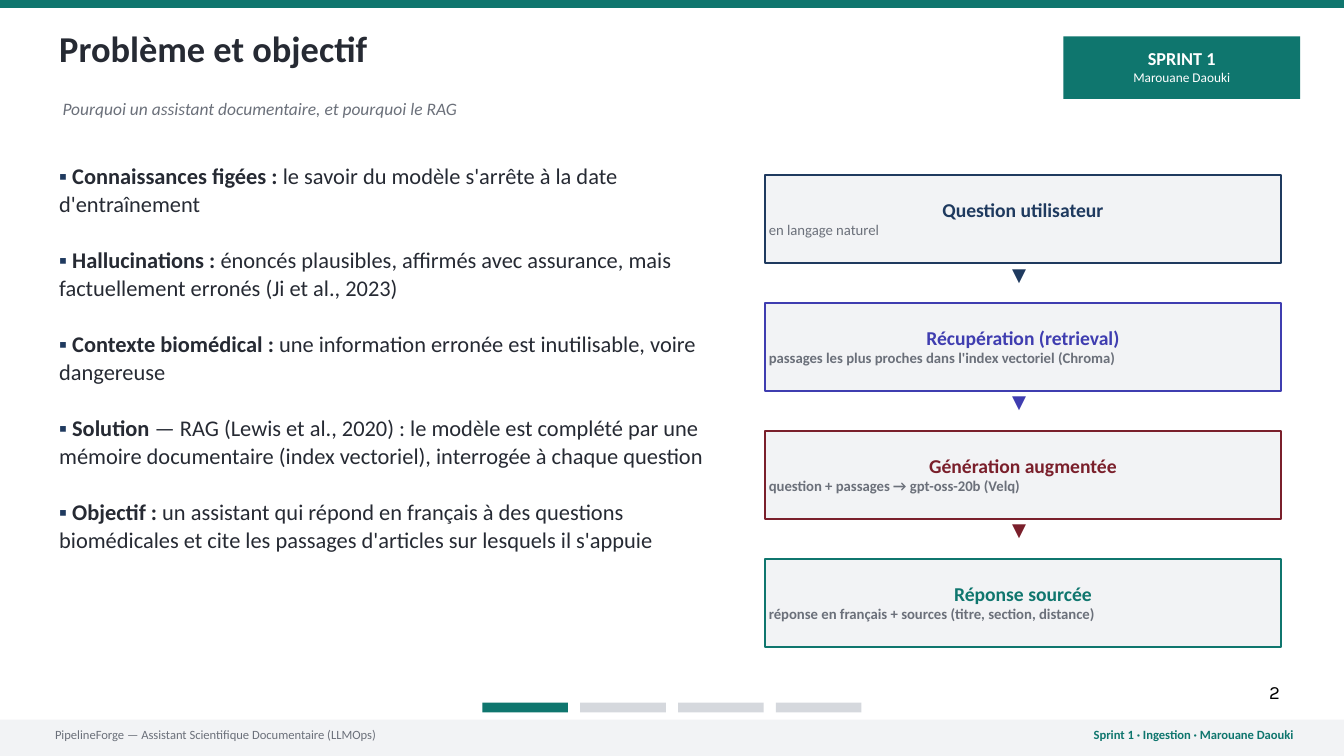
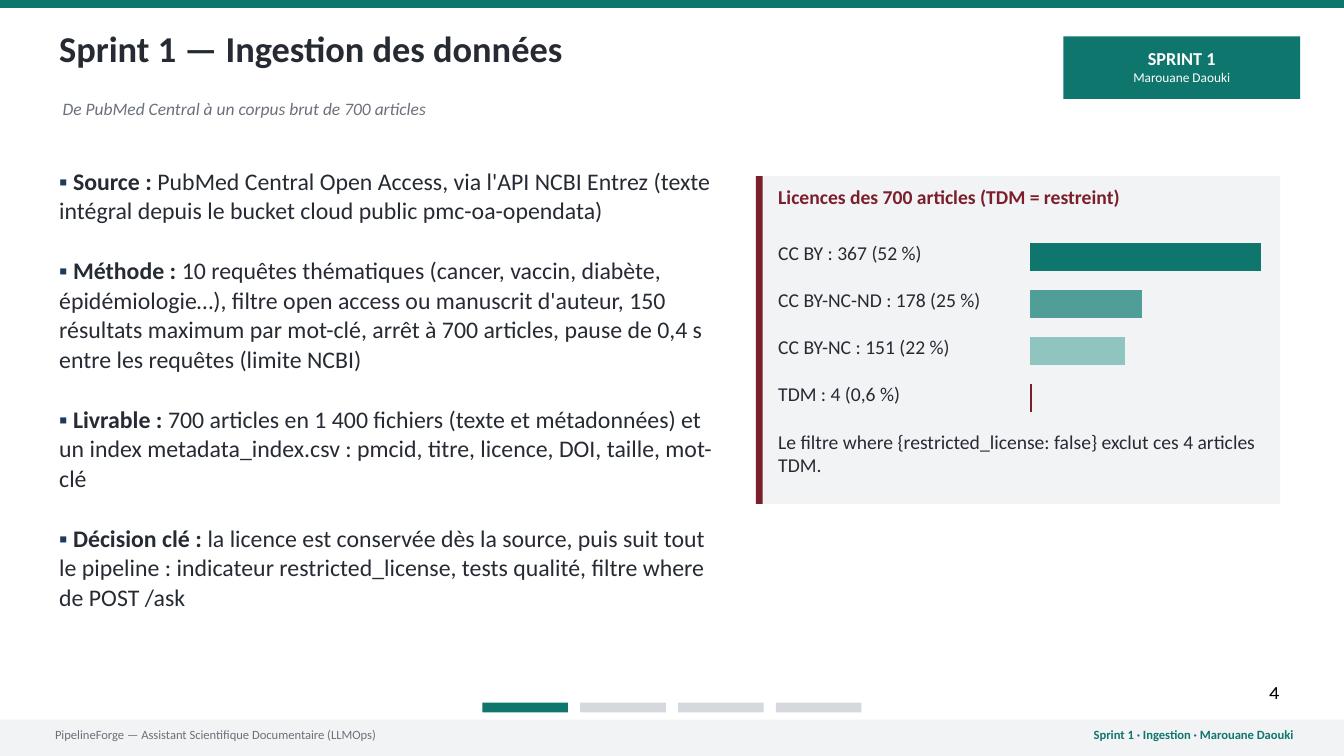
"""Build two slides on a documentary assistant: its purpose, and the ingestion of its data."""
from typing import NamedTuple

from pptx import Presentation
from pptx.chart.data import CategoryChartData
from pptx.dml.color import RGBColor
from pptx.enum.chart import XL_CHART_TYPE
from pptx.enum.shapes import MSO_SHAPE
from pptx.enum.text import MSO_ANCHOR, PP_ALIGN
from pptx.oxml import parse_xml
from pptx.oxml.ns import nsdecls, qn
from pptx.util import Pt

COLORS = {
    "teal": "0F766E", "teal_mid": "4F9F98", "teal_light": "8FC4BF",
    "navy": "1F3A5F", "indigo": "3F3DB0", "maroon": "7A1F2B",
    "ink": "262A33", "gray": "6B707A", "silver": "D5D8DD",
    "mist": "F2F3F5", "white": "FFFFFF", "black": "000000",
}
FONT = "Calibri"
LEFT, CENTER, RIGHT = PP_ALIGN.LEFT, PP_ALIGN.CENTER, PP_ALIGN.RIGHT
TOP, MIDDLE = MSO_ANCHOR.TOP, MSO_ANCHOR.MIDDLE


class Area(NamedTuple):
    left: float
    top: float
    width: float
    height: float


class Span(NamedTuple):
    text: str
    color: str = "ink"
    bold: bool = False
    italic: bool = False


class Para(NamedTuple):
    spans: list[Span]
    size: float
    align: PP_ALIGN = LEFT
    leading: float = 1.2
    before: float = 0
    font: str = FONT


class Point(NamedTuple):
    label: str
    detail: str


class Step(NamedTuple):
    name: str
    detail: str
    color: str
    bold_detail: bool = True


class Licence(NamedTuple):
    name: str
    count: int
    share: str
    color: str


PROBLEM_POINTS = [
    Point("Connaissances figées :", "le savoir du modèle s'arrête à la date d'entraînement"),
    Point("Hallucinations :", "énoncés plausibles, affirmés avec assurance, mais "
          "factuellement erronés (Ji et al., 2023)"),
    Point("Contexte biomédical :", "une information erronée est inutilisable, voire dangereuse"),
    Point("Solution", "— RAG (Lewis et al., 2020) : le modèle est complété par une mémoire "
          "documentaire (index vectoriel), interrogée à chaque question"),
    Point("Objectif :", "un assistant qui répond en français à des questions biomédicales "
          "et cite les passages d'articles sur lesquels il s'appuie"),
]
INGESTION_POINTS = [
    Point("Source :", "PubMed Central Open Access, via l'API NCBI Entrez (texte intégral "
          "depuis le bucket cloud public pmc-oa-opendata)"),
    Point("Méthode :", "10 requêtes thématiques (cancer, vaccin, diabète, épidémiologie…), "
          "filtre open access ou manuscrit d'auteur, 150 résultats maximum par mot-clé, "
          "arrêt à 700 articles, pause de 0,4 s entre les requêtes (limite NCBI)"),
    Point("Livrable :", "700 articles en 1 400 fichiers (texte et métadonnées) et un index "
          "metadata_index.csv : pmcid, titre, licence, DOI, taille, mot-clé"),
    Point("Décision clé :", "la licence est conservée dès la source, puis suit tout le pipeline : "
          "indicateur restricted_license, tests qualité, filtre where de POST /ask"),
]
STEPS = [
    Step("Question utilisateur", "en langage naturel", "navy", False),
    Step("Récupération (retrieval)",
         "passages les plus proches dans l'index vectoriel (Chroma)", "indigo"),
    Step("Génération augmentée", "question + passages → gpt-oss-20b (Velq)", "maroon"),
    Step("Réponse sourcée", "réponse en français + sources (titre, section, distance)", "teal"),
]
LICENCES = [
    Licence("CC BY", 367, "52 %", "teal"),
    Licence("CC BY-NC-ND", 178, "25 %", "teal_mid"),
    Licence("CC BY-NC", 151, "22 %", "teal_light"),
    Licence("TDM", 4, "0,6 %", "maroon"),
]


def rgb(name: str) -> RGBColor:
    """Return a named colour."""
    return RGBColor.from_string(COLORS[name])


def points(area: Area) -> list[Pt]:
    """Convert an area to lengths."""
    return [Pt(length) for length in area]


def write(frame, paras: list[Para], anchor=TOP, margins=(0, 0, 0, 0), wrap=True) -> None:
    """Fill a text frame run by run; margins run left, top, right, bottom."""
    frame.word_wrap = wrap
    frame.vertical_anchor = anchor
    (frame.margin_left, frame.margin_top,
     frame.margin_right, frame.margin_bottom) = [Pt(margin) for margin in margins]
    for index, item in enumerate(paras):
        para = frame.add_paragraph() if index else frame.paragraphs[0]
        para.alignment = item.align
        para.line_spacing = Pt(item.size * item.leading)
        para.space_before = Pt(item.before if index else 0)
        for span in item.spans:
            run = para.add_run()
            run.text = span.text
            run.font.name = item.font
            run.font.size = Pt(item.size)
            run.font.bold = span.bold
            run.font.italic = span.italic
            run.font.color.rgb = rgb(span.color)


def add_text(page, area: Area, paras: list[Para], anchor=TOP, wrap=True) -> None:
    """Add a text box without margins."""
    write(page.shapes.add_textbox(*points(area)).text_frame, paras, anchor, wrap=wrap)


def add_block(page, area: Area, fill: str, line: str | None = None,
              paras: list[Para] | None = None) -> None:
    """Add a flat rectangle, outlined or holding text if asked."""
    box = page.shapes.add_shape(MSO_SHAPE.RECTANGLE, *points(area))
    box.shadow.inherit = False
    box.fill.solid()
    box.fill.fore_color.rgb = rgb(fill)
    if line:
        box.line.color.rgb = rgb(line)
        box.line.width = Pt(2.25)
    else:
        box.line.fill.background()
    if paras:
        write(box.text_frame, paras, MIDDLE, (4.3, 4.3, 4.3, 7))


def add_page(deck, title: str, subtitle: str, number: int):
    """Add a page with its title and the shared bands, badge, progress and footers."""
    page = deck.slides.add_slide(deck.slide_layouts[5])
    heading = page.shapes.title
    heading.left, heading.top, heading.width, heading.height = points(Area(63.4, 28, 1029, 52.6))
    write(heading.text_frame, [Para([Span(title, bold=True)], 39)])
    add_block(page, Area(0, 0, 1440, 8.6), "teal")
    add_text(page, Area(67, 105, 1029, 25),
             [Para([Span(subtitle, "gray", italic=True)], 18.75)])
    add_block(page, Area(1139.3, 38.9, 253.8, 67), "teal", paras=[
        Para([Span("SPRINT 1", "white", True)], 19.5, CENTER),
        Para([Span("Marouane Daouki", "white")], 14.25, CENTER),
    ])
    add_block(page, Area(0, 771.1, 1440, 38.9), "mist")
    add_text(page, Area(59, 771.1, 756, 31.7), [Para([Span(
        "PipelineForge — Assistant Scientifique Documentaire (LLMOps)", "gray")], 13.5)], MIDDLE)
    add_text(page, Area(889, 771.1, 497, 31.7), [Para([Span(
        "Sprint 1 · Ingestion · Marouane Daouki", "teal", True)], 13.5, RIGHT)], MIDDLE)
    for sprint in range(4):
        add_block(page, Area(516.9 + sprint * 104.8, 752.9, 91.7, 10.5),
                  "silver" if sprint else "teal")
    add_text(page, Area(1359.4, 725, 12.2, 28),
             [Para([Span(str(number), "black")], 20, CENTER, 1.4, font="Karla")], wrap=False)
    return page


def add_points(page, area: Area, items: list[Point], size: float) -> None:
    """Add the list of key points, one blank line's height apart."""
    add_text(page, area, [
        Para([Span("▪ ", "navy"), Span(item.label, bold=True), Span(f" {item.detail}")],
             size, leading=1.25, before=size * 1.25)
        for item in items
    ])


def add_steps(page) -> None:
    """Stack the steps of the flow with a pointer after each but the last."""
    for index, step in enumerate(STEPS):
        top = 187.9 + index * 137.1
        add_block(page, Area(819.4, top, 553.2, 94.3), "mist", step.color, [
            Para([Span(step.name, step.color, True)], 21, CENTER),
            Para([Span(step.detail, "gray", step.bold_detail)], 15.75),
        ])
        if index < len(STEPS) - 1:
            add_text(page, Area(1084.3, top + 93.7, 35.3, 43),
                     [Para([Span("▼", step.color, True)], 19.5)])


def add_licence_chart(page, area: Area) -> None:
    """Draw the licence counts as bare bars filling the area."""
    data = CategoryChartData()
    data.categories = [licence.name for licence in LICENCES]
    data.add_series("Articles", [licence.count for licence in LICENCES])
    chart = page.shapes.add_chart(XL_CHART_TYPE.BAR_CLUSTERED, *points(area), data).chart
    chart.has_legend = chart.has_title = False
    chart.font.name = FONT
    chart.font.size = Pt(21)
    chart.font.color.rgb = rgb("ink")
    chart.category_axis.reverse_order = True
    chart.value_axis.minimum_scale = 0
    chart.value_axis.maximum_scale = max(licence.count for licence in LICENCES)
    for axis in (chart.category_axis, chart.value_axis):
        axis.has_major_gridlines = False
        axis.visible = False
    plot = chart.plots[0]
    plot.vary_by_categories = False
    plot.gap_width = 67
    for index, licence in enumerate(LICENCES):
        fill = plot.series[0].points[index].format.fill
        fill.solid()
        fill.fore_color.rgb = rgb(licence.color)
    body = chart.element.find(qn("c:chart"))
    plot_area = body.find(qn("c:plotArea"))
    for layout in plot_area.findall(qn("c:layout")):
        plot_area.remove(layout)
    plot_area.insert(0, parse_xml(
        f'<c:layout {nsdecls("c")}><c:manualLayout><c:layoutTarget val="inner"/>'
        '<c:xMode val="edge"/><c:yMode val="edge"/><c:x val="0"/><c:y val="0"/>'
        '<c:w val="1"/><c:h val="1"/></c:manualLayout></c:layout>'))
    body.addnext(parse_xml(
        f'<c:spPr {nsdecls("c", "a")}><a:noFill/><a:ln><a:noFill/></a:ln></c:spPr>'))


def add_licence_card(page) -> None:
    """Add the card that breaks the articles down by licence."""
    card = Area(810, 188.6, 561.6, 351.4)
    add_block(page, card, "mist")
    add_block(page, card._replace(width=7.2), "maroon")
    add_text(page, Area(833.8, 198, 521.3, 28.8), [Para(
        [Span("Licences des 700 articles (TDM = restreint)", "maroon", True)], 21)])
    lines = [f"{licence.name} : {licence.count} ({licence.share})" for licence in LICENCES]
    lines.append("Le filtre where {restricted_license: false} exclut ces 4 articles TDM.")
    add_text(page, Area(833.8, 258.5, 517.7, 251.3),
             [Para([Span(line)], 21, before=25.2) for line in lines])
    add_licence_chart(page, Area(1103.4, 249.8, 247.5, 201.6))


def main() -> None:
    """Build and save the deck."""
    deck = Presentation()
    deck.slide_width, deck.slide_height = Pt(1440), Pt(810)
    page = add_page(deck, "Problème et objectif",
                    "Pourquoi un assistant documentaire, et pourquoi le RAG", 2)
    add_points(page, Area(63.4, 172.1, 715.7, 423.4), PROBLEM_POINTS, 24)
    add_steps(page)
    page = add_page(deck, "Sprint 1 — Ingestion des données",
                    "De PubMed Central à un corpus brut de 700 articles", 4)
    add_points(page, Area(63.4, 177.1, 704.9, 476), INGESTION_POINTS, 25.5)
    add_licence_card(page)
    deck.save("out.pptx")


if __name__ == "__main__":
    main()
